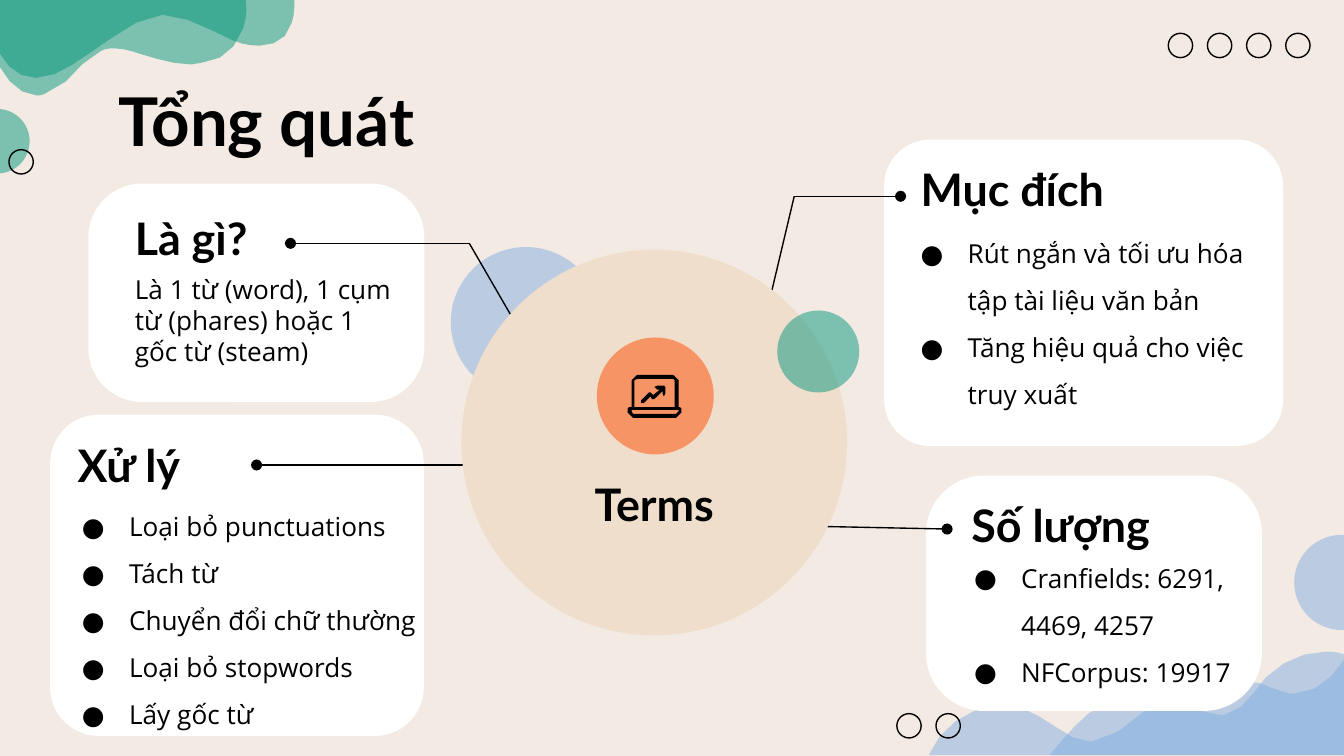
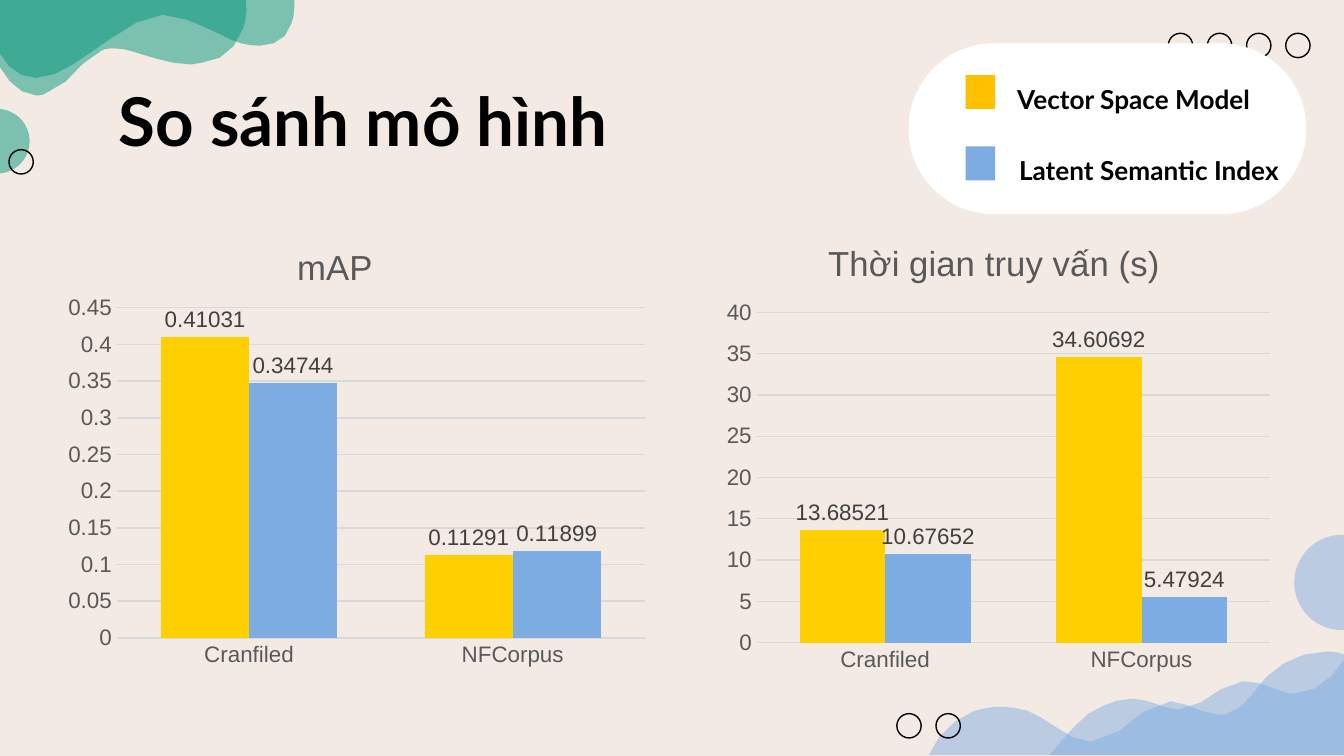
"""Build two slides on index terms and a comparison of retrieval models."""
from dataclasses import dataclass
from math import comb, dist

from lxml.etree import SubElement
from pptx import Presentation
from pptx.chart.data import CategoryChartData
from pptx.dml.color import RGBColor
from pptx.enum.chart import XL_CHART_TYPE, XL_LABEL_POSITION, XL_TICK_MARK
from pptx.enum.shapes import MSO_CONNECTOR, MSO_SHAPE
from pptx.enum.text import MSO_ANCHOR, PP_ALIGN
from pptx.oxml.ns import qn
from pptx.util import Cm, Pt


@dataclass(frozen=True)
class Theme:
    ink: RGBColor = RGBColor.from_string("000000")
    paper: RGBColor = RGBColor.from_string("F3EAE3")
    white: RGBColor = RGBColor.from_string("FFFFFF")
    green: RGBColor = RGBColor.from_string("01967A")
    blue: RGBColor = RGBColor.from_string("7CACE1")
    sand: RGBColor = RGBColor.from_string("F0DECD")
    orange: RGBColor = RGBColor.from_string("FF4D01")
    amber: RGBColor = RGBColor.from_string("FFC000")
    yellow: RGBColor = RGBColor.from_string("FED002")
    axis: RGBColor = RGBColor.from_string("595959")
    label: RGBColor = RGBColor.from_string("404040")
    grid: RGBColor = RGBColor.from_string("D9D9D9")
    heading_font: str = "Lato"
    body_font: str = "Open Sans"
    chart_font: str = "Arial"
    title_size: Pt = Pt(36)
    heading_size: Pt = Pt(24)
    body_size: Pt = Pt(14)
    chart_title_size: Pt = Pt(18.6)
    chart_size: Pt = Pt(12)
    hairline: Pt = Pt(0.75)
    green_alpha: int = 49
    blue_alpha: int = 47
    orange_alpha: int = 51


theme = Theme()


def add_form(slide, geometry, placing, fill=None, alpha=100, corner=None):
    """Draw a preset in a box in cm, or contours in hundredths of an inch."""
    if geometry:
        form = slide.shapes.add_shape(geometry, *map(Cm, placing))
    else:
        builder = None
        for contour in placing:
            dots = [contour[0]]
            for step in contour[1:]:
                bends = [dots[-1], step[:2], step[2:4], step[4:]]
                if len(step) == 6 and dist(dots[-1], step[4:]) > 6:
                    for t in (1 / 3, 2 / 3):
                        weights = [comb(3, i) * (1 - t) ** (3 - i) * t ** i for i in range(4)]
                        dots.append(tuple(sum(w * bend[k] for w, bend in zip(weights, bends)) for k in (0, 1)))
                dots.append(step[-2:])
            dots = [tuple(Cm(2.54 * value / 100) for value in dot) for dot in dots]
            if builder is None:
                builder = slide.shapes.build_freeform(*dots[0])
            else:
                builder.move_to(*dots[0])
            builder.add_line_segments(dots[1:], close=True)
        form = builder.convert_to_shape()
    form.shadow.inherit = False
    if corner is not None:
        form.adjustments[0] = corner
    if fill is None:
        form.fill.background()
        form.line.color.rgb = theme.ink
        form.line.width = theme.hairline
    else:
        form.fill.solid()
        form.fill.fore_color.rgb = fill
        form.line.fill.background()
        if alpha < 100:
            tint = form.element.spPr.find(qn("a:solidFill")).find(qn("a:srgbClr"))
            SubElement(tint, qn("a:alpha"), val=str(alpha * 1000))


def add_text(slide, box, lines, size, heading=True, anchor=MSO_ANCHOR.BOTTOM,
             align=PP_ALIGN.LEFT, bulleted=False):
    """Write one paragraph for each line."""
    frame = slide.shapes.add_textbox(*map(Cm, box)).text_frame
    frame.word_wrap = True
    frame.vertical_anchor = anchor
    frame.margin_left = frame.margin_right = Cm(0.3 if bulleted else 0.25)
    frame.margin_top = frame.margin_bottom = Cm(0.25)
    for number, line in enumerate(lines):
        paragraph = frame.add_paragraph() if number else frame.paragraphs[0]
        paragraph.alignment = align
        run = paragraph.add_run()
        run.text = line
        run.font.size = size
        run.font.name = theme.heading_font if heading else theme.body_font
        run.font.bold = heading
        run.font.color.rgb = theme.ink
        if bulleted:
            paragraph.line_spacing = 1.5
            settings = paragraph._p.get_or_add_pPr()
            settings.set("marL", str(Cm(0.97)))
            settings.set("indent", str(Cm(-0.89)))
            SubElement(SubElement(settings, qn("a:buClr")), qn("a:srgbClr"), val=str(theme.ink))
            SubElement(settings, qn("a:buFont"), typeface=theme.body_font)
            SubElement(settings, qn("a:buChar"), char="●")


deck = Presentation()
deck.slide_width, deck.slide_height = Cm(25.4), Cm(14.29)
deck.slide_master.background.fill.solid()
deck.slide_master.background.fill.fore_color.rgb = theme.paper

green_waves = [
    [(0, 0), (0, 50), (6, 61, 16, 71, 27, 71), (29, 71, 31, 71, 33, 70),
     (52, 65, 59, 44, 75, 38), (78, 36, 82, 36, 85, 36), (92, 36, 98, 38, 104, 40),
     (117, 44, 130, 48, 142, 48), (144, 48, 146, 47, 149, 47),
     (166, 45, 175, 37, 181, 21), (183, 15, 184, 8, 183, 0)],
    [(0, 0), (0, 40), (6, 51, 15, 58, 27, 58), (41, 58, 54, 48, 66, 40),
     (79, 32, 103, 11, 121, 11), (139, 11, 161, 25, 173, 30),
     (180, 33, 187, 34, 193, 34), (204, 34, 214, 29, 217, 17), (219, 12, 219, 6, 219, 0)],
]
blue_waves = [
    [(1000, 491), (1000, 562), (781, 562), (790, 551, 799, 540, 810, 531),
     (820, 525, 831, 520, 842, 520), (845, 520, 848, 521, 851, 521),
     (860, 523, 868, 528, 877, 528), (895, 528, 907, 508, 925, 507),
     (938, 506, 948, 514, 959, 516), (961, 516, 962, 516, 964, 516),
     (979, 516, 992, 504, 1000, 491)],
    [(986, 485), (970, 485, 954, 492, 942, 504), (933, 514, 925, 530, 911, 532),
     (910, 532, 909, 532, 907, 532), (895, 532, 883, 522, 871, 522),
     (848, 522, 835, 552, 812, 552), (797, 552, 786, 540, 773, 533),
     (765, 528, 755, 526, 745, 526), (738, 526, 732, 527, 725, 529),
     (710, 535, 697, 547, 691, 562), (1000, 562), (1000, 487),
     (995, 485, 991, 485, 986, 485)],
]
ring_places = [(22.08 + 0.74 * n, 0.63) for n in range(4)]
ring_places += [(0.17, 2.83)] + [(16.95 + 0.74 * n, 13.49) for n in range(2)]

slides = []
for _ in range(2):
    slide = deck.slides.add_slide(deck.slide_layouts[6])
    for waves, dot, colour, alpha in (
        (green_waves, (-0.66, 2.06, 1.22, 1.22), theme.green, theme.green_alpha),
        (blue_waves, (24.46, 10.11, 1.8, 1.8), theme.blue, theme.blue_alpha),
    ):
        for wave in waves:
            add_form(slide, None, [wave], colour, alpha)
        add_form(slide, MSO_SHAPE.OVAL, dot, colour, alpha)
    for left, top in ring_places:
        add_form(slide, MSO_SHAPE.OVAL, (left, top, 0.46, 0.46))
    slides.append(slide)
overview, comparison = slides
title_box = (1.99, 1.25, 21.44, 2.06)

cards = [
    ("Số lượng", (17.5, 8.99, 6.35, 4.45), 0.247, (18.11, 9.25, 4.88, 1.42),
     (18.03, 10.08, 5.82, 3.33), ["Cranfields: 6291, 4469, 4257", "NFCorpus: 19917"]),
    ("Mục đích", (16.71, 2.64, 7.54, 5.79), 0.151, (17.15, 2.77, 5.41, 1.55),
     (17.02, 3.94, 6.93, 4.11),
     ["Rút ngắn và tối ưu hóa tập tài liệu văn bản", "Tăng hiệu quả cho việc truy xuất"]),
    ("Xử lý", (0.95, 7.84, 7.06, 6.07), 0.151, (1.22, 8.04, 5.08, 1.5),
     (1.17, 9.1, 7.16, 5),
     ["Loại bỏ punctuations", "Tách từ", "Chuyển đổi chữ thường", "Loại bỏ stopwords", "Lấy gốc từ"]),
    ("Là gì?", (1.67, 3.47, 6.35, 4.13), 0.247, (2.3, 3.7, 4.88, 1.55),
     (2.3, 4.91, 5.36, 2.31), ["Là 1 từ (word), 1 cụm từ (phares) hoặc 1 gốc từ (steam)"]),
]
for heading, card, corner, heading_box, body_box, points in cards:
    add_form(overview, MSO_SHAPE.ROUNDED_RECTANGLE, card, theme.white, corner=corner)
    add_text(overview, heading_box, [heading], theme.heading_size)
    add_text(overview, body_box, points, theme.body_size, heading=False,
             anchor=MSO_ANCHOR.TOP, bulleted=len(points) > 1)

add_form(overview, MSO_SHAPE.OVAL, (8.52, 4.67, 2.84, 2.84), theme.blue, theme.blue_alpha)
add_text(overview, title_box, ["Tổng quát"], theme.title_size, anchor=MSO_ANCHOR.TOP)

leaders = [
    [(17.9, 10), (15.44, 9.95)],
    [(17.02, 3.71), (15.01, 3.71), (14.22, 7.04)],
    [(5.49, 4.6), (8.87, 4.6), (10.57, 7.54)],
    [(4.85, 8.79), (9.12, 8.79)],
]
for stops in leaders:
    for number, (start, end) in enumerate(zip(stops, stops[1:])):
        leader = overview.shapes.add_connector(MSO_CONNECTOR.STRAIGHT, *map(Cm, start + end))
        leader.line.color.rgb = theme.ink
        leader.line.width = theme.hairline
        if number == 0:
            SubElement(leader.element.spPr.find(qn("a:ln")), qn("a:headEnd"), type="oval")
        SubElement(leader.element.spPr, qn("a:effectLst"))

add_form(overview, MSO_SHAPE.OVAL, (8.72, 4.72, 7.29, 7.29), theme.sand)
add_text(overview, (10.6, 8.73, 3.53, 1.55), ["Terms"], theme.heading_size, align=PP_ALIGN.CENTER)
add_form(overview, MSO_SHAPE.OVAL, (11.28, 6.38, 2.21, 2.21), theme.orange, theme.orange_alpha)
laptop = [
    [(501, 282), (502, 282, 502, 282, 502, 283), (502, 303), (472, 303), (472, 283),
     (472, 282, 473, 282, 474, 282)],
    [(505, 305), (505, 306), (505, 307, 504, 308, 503, 308), (471, 308),
     (470, 308, 470, 307, 470, 306), (470, 305)],
    [(474, 279), (471, 279, 470, 281, 470, 283), (470, 303), (468, 303), (467, 304),
     (467, 307), (467, 309, 469, 311, 471, 311), (503, 311),
     (505, 311, 507, 309, 507, 307), (507, 304), (506, 303), (505, 303), (505, 283),
     (505, 281, 503, 279, 501, 279)],
]
rising_arrow = [
    [(489, 287), (488, 287, 487, 288, 487, 288), (487, 289, 488, 290, 489, 290),
     (491, 290), (486, 294), (484, 292), (483, 292), (477, 298),
     (477, 298, 477, 299, 477, 300), (479, 300), (484, 295), (485, 297), (487, 297),
     (493, 291), (493, 293), (493, 294, 493, 295, 494, 295),
     (495, 295, 495, 294, 495, 293), (495, 288), (495, 287, 495, 287, 494, 287)],
]
for contours in (laptop, rising_arrow):
    add_form(overview, None, contours, theme.ink)
add_form(overview, MSO_SHAPE.OVAL, (14.69, 5.87, 1.55, 1.55), theme.green, theme.green_alpha)

add_form(comparison, MSO_SHAPE.ROUNDED_RECTANGLE, (17.17, 0.82, 7.52, 3.23), theme.white, corner=0.5)
models = [
    ("Vector Space Model", theme.amber, 18.95, 4.95),
    ("Latent Semantic Index", theme.blue, 18.92, 5.59),
]
for row, (model, colour, left, width) in enumerate(models):
    drop = 1.35 * row
    add_form(comparison, MSO_SHAPE.RECTANGLE, (18.25, 1.42 + drop, 0.56, 0.64), colour)
    add_text(comparison, (left, 1 + drop, width, 1.42), [model], theme.body_size,
             align=PP_ALIGN.CENTER)
add_text(comparison, title_box, ["So sánh mô hình"], theme.title_size, anchor=MSO_ANCHOR.TOP)

measures = [
    ("mAP", 0.07, 12.62, 0.45, 0.05, [(0.41031, 0.11291), (0.34744, 0.11899)],
     (0.43, 0.04), 0.19),
    ("Thời gian truy vấn (s)", 12.22, 12.27, 40, 5, [(13.68521, 34.60692), (10.67652, 5.47924)],
     (0.27, 0.03), 0.2),
]
for measure, left, width, top_value, step, scores, title_place, plot_top in measures:
    results = CategoryChartData()
    results.categories = ["Cranfiled", "NFCorpus"]
    for number, values in enumerate(scores, 1):
        results.add_series(f"Series {number}", values)
    chart = comparison.shapes.add_chart(
        XL_CHART_TYPE.COLUMN_CLUSTERED, Cm(left), Cm(4.15), Cm(width), Cm(8.79), results).chart
    chart.has_legend = False
    chart.font.name = theme.chart_font
    chart.font.size = theme.chart_size
    chart.font.color.rgb = theme.axis
    chart.has_title = True
    caption = chart.chart_title.text_frame.paragraphs[0].add_run()
    caption.text = measure
    caption.font.name = theme.chart_font
    caption.font.size = theme.chart_title_size
    caption.font.bold = False
    caption.font.color.rgb = theme.axis
    for axis in (chart.category_axis, chart.value_axis):
        axis.major_tick_mark = axis.minor_tick_mark = XL_TICK_MARK.NONE
    chart.category_axis.format.line.color.rgb = theme.grid
    chart.category_axis.format.line.width = theme.hairline
    scale = chart.value_axis
    scale.minimum_scale, scale.maximum_scale, scale.major_unit = 0, top_value, step
    scale.format.line.fill.background()
    scale.major_gridlines.format.line.color.rgb = theme.grid
    scale.major_gridlines.format.line.width = theme.hairline
    bars = chart.plots[0]
    bars.gap_width, bars.overlap = 100, 0
    bars.vary_by_categories = False
    for series, colour in zip(bars.series, (theme.yellow, theme.blue)):
        series.format.fill.solid()
        series.format.fill.fore_color.rgb = colour
        labels = series.data_labels
        labels.show_value = True
        labels.position = XL_LABEL_POSITION.OUTSIDE_END
        labels.font.name = theme.chart_font
        labels.font.size = theme.chart_size
        labels.font.color.rgb = theme.label
    edges = dict(xMode="edge", yMode="edge")
    plot_place = dict(layoutTarget="inner", **edges, x=0.17, y=plot_top, w=0.79, h=0.71)
    caption_place = dict(**edges, x=title_place[0], y=title_place[1])
    for part, index, place in (("c:plotArea", 0, plot_place), ("c:title", 1, caption_place)):
        owner = chart.element.find(".//" + qn(part))
        for stale in owner.findall(qn("c:layout")):
            owner.remove(stale)
        layout = SubElement(owner, qn("c:layout"))
        manual = SubElement(layout, qn("c:manualLayout"))
        for key, value in place.items():
            SubElement(manual, qn("c:" + key), val=str(value))
        owner.insert(index, layout)

deck.save("out.pptx")
